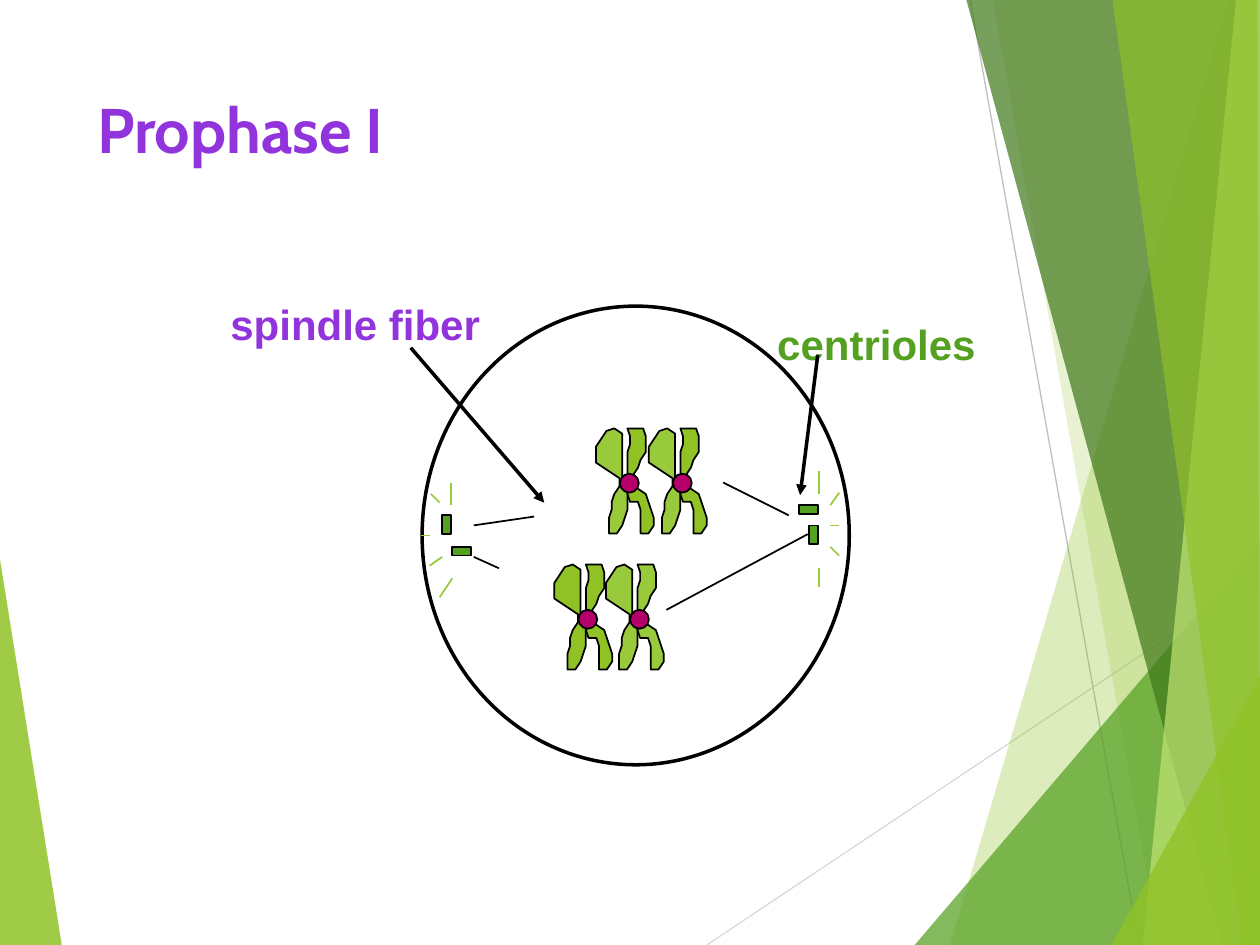
from lxml import etree
from pptx import Presentation
from pptx.dml.color import RGBColor
from pptx.enum.shapes import MSO_CONNECTOR, MSO_SHAPE
from pptx.enum.text import MSO_ANCHOR, MSO_AUTO_SIZE, PP_ALIGN
from pptx.oxml.ns import qn
from pptx.util import Inches, Pt

LINE, OVAL, RECT = MSO_CONNECTOR.STRAIGHT, MSO_SHAPE.OVAL, MSO_SHAPE.RECTANGLE
LEFT, TOP = PP_ALIGN.LEFT, MSO_ANCHOR.TOP
GROW, FIXED = MSO_AUTO_SIZE.SHAPE_TO_FIT_TEXT, MSO_AUTO_SIZE.NONE
W, H = 10, 7.5

C = {"white": "FFFFFF", "black": "000000", "purple": "9234DB", "green": "54A021",
     "lime": "90C226", "light": "99CA3C", "forest": "3F7819", "pale": "C0E474",
     "magenta": "B50069", "gray": "BFBFBF", "silver": "D9D9D9"}

# Background facets: colour, opacity in percent, corners in inches
WEDGE = ("lime", 85, [(0, 4.44), (0.49, H), (0, H)])
FACETS = [
    ("lime", 30, [(9.75, 0), (7.54, H), (W, H), (W, 0)]),
    ("lime", 20, [(7.88, 0), (9.2, H), (W, H), (W, 0)]),
    ("green", 72, [(7.26, H), (W, 4.29), (W, H)]),
    ("forest", 70, [(7.67, 0), (9.7, H), (W, H), (W, 0)]),
    ("pale", 70, [(9.81, 0), (9.07, H), (W, H), (W, 0)]),
    ("lime", 65, [(8.83, 0), (9.86, H), (W, H), (9.98, 0)]),
    ("lime", 80, [(8.82, H), (W, 5.37), (W, H)]),
]
FACET_LINES = [("silver", (5.61, H), (W, 4.57)), ("gray", (7.7, 0), (9.04, H))]

# Chromatid outlines on a grid of 48 units to the inch
UNIT = 48
LEFT_CHROMATID = [
    (13, 21), (10, 20), (10, 2), (7, 0), (4, 1), (0, 7), (0, 13), (9, 19), (9, 22),
    (7, 25), (6, 28), (6, 31), (5, 34), (5, 40), (8, 40), (10, 37), (11, 34),
    (12, 31), (12, 22)]
RIGHT_CHROMATID = [
    (13, 21), (12, 18), (12, 9), (13, 6), (13, 3), (12, 0), (18, 0), (19, 3), (19, 9),
    (17, 12), (16, 15), (14, 18), (13, 21), (19, 25), (20, 28), (22, 34), (22, 37),
    (20, 40), (17, 40), (17, 31), (16, 28), (13, 28), (12, 25), (12, 22)]
CHROMOSOMES = [  # left, top, left colour, right colour
    (4.4, 4.48, "lime", "lime"), (5.15, 3.4, "light", "lime"),
    (4.73, 3.4, "light", "lime"), (4.81, 4.48, "light", "light")]
CENTROMERE = 0.15

CELL = (3.35, 2.43, 3.39, 3.64)
CENTRIOLES = [(6.42, 4.17, 0.07, 0.15), (3.51, 4.09, 0.07, 0.15),
              (6.34, 4.01, 0.15, 0.07), (3.59, 4.34, 0.15, 0.07)]
ASTERS = [
    ((3.59, 4.59), (3.49, 4.74)), ((3.51, 4.42), (3.41, 4.49)),
    ((3.34, 4.25), (3.41, 4.25)), ((3.42, 3.92), (3.49, 3.99)),
    ((3.58, 4.01), (3.58, 3.83)), ((6.5, 3.92), (6.5, 3.74)),
    ((6.59, 4.01), (6.66, 3.91)), ((6.59, 4.17), (6.66, 4.17)),
    ((6.59, 4.34), (6.66, 4.41)), ((6.5, 4.51), (6.5, 4.66))]
SPINDLES = [((3.76, 4.17), (4.24, 4.1)), ((6.26, 4.09), (5.74, 3.83)),
            ((5.29, 4.84), (6.41, 4.24)), ((3.76, 4.42), (3.96, 4.51))]
POINTERS = [((3.26, 2.76), (4.32, 3.99)), ((6.49, 2.82), (6.35, 3.93))]
LABELS = [("centrioles", "green", (6.07, 2.48, 1.78, 0.5)),
          ("spindle fiber", "purple", (1.73, 2.32, 2.18, 0.5))]


def rgb(name):
    return RGBColor.from_string(C[name])


def paint(sp, fill, line=None, width=1, opacity=100):
    sp.shadow.inherit = False
    sp.fill.solid()
    sp.fill.fore_color.rgb = rgb(fill)
    if opacity < 100:
        color = sp.fill._xPr.find(qn("a:solidFill"))[0]
        etree.SubElement(color, qn("a:alpha"), val=str(opacity * 1000))
    if line:
        sp.line.color.rgb = rgb(line)
        sp.line.width = Pt(width)
    else:
        sp.line.fill.background()


def add_preset(kind, box, fill, width=1):
    sp = s.shapes.add_shape(kind, *map(Inches, box))
    paint(sp, fill, "black", width)


def add_outline(points, fill, left=0, top=0, units=100, **style):
    """Draw a closed outline whose points count `units` to the inch."""
    grid = [(round(x), round(y)) for x, y in points]
    fb = s.shapes.build_freeform(*grid[0], scale=Inches(1) / units)
    fb.add_line_segments(grid[1:], close=True)
    paint(fb.convert_to_shape(Inches(left), Inches(top)), fill, **style)


def add_facet(color, opacity, corners):
    add_outline([(x * 100, y * 100) for x, y in corners], color, opacity=opacity)


def add_line(start, end, color, width=1, arrow=False):
    cn = s.shapes.add_connector(LINE, *map(Inches, start + end))
    cn.line.color.rgb = rgb(color)
    cn.line.width = Pt(width)
    if arrow:
        etree.SubElement(cn.line._get_or_add_ln(), qn("a:tailEnd"), type="triangle")
    etree.SubElement(cn._element.spPr, qn("a:effectLst"))


def write(sp, text, box, font, size, color, wrap=True, fit=FIXED):
    sp.left, sp.top, sp.width, sp.height = map(Inches, box)
    tf = sp.text_frame
    tf.word_wrap = wrap
    tf.auto_size = fit
    tf.vertical_anchor = TOP
    p = tf.paragraphs[0]
    p.alignment = LEFT
    r = p.add_run()
    r.text = text
    r.font.name, r.font.size, r.font.bold = font, Pt(size), True
    r.font.color.rgb = rgb(color)


prs = Presentation()
prs.slide_width, prs.slide_height = Inches(W), Inches(H)
s = prs.slides.add_slide(prs.slide_layouts[5])

# Background
add_facet(*WEDGE)
for color, start, end in FACET_LINES:
    add_line(start, end, color, 0.75)
for facet in FACETS:
    add_facet(*facet)

# Title
write(s.shapes.title, "Prophase I", (0.67, 0.67, 6.94, 1.44), "Cabin", 36, "purple")

# Cell and centrioles
add_preset(OVAL, CELL, "white", 2)
for box in CENTRIOLES:
    add_preset(RECT, box, "green")

# Labels and asters
for text, color, box in LABELS:
    write(s.shapes.add_textbox(0, 0, 0, 0), text, box, "Arial", 24, color,
          wrap=False, fit=GROW)
for start, end in ASTERS:
    add_line(start, end, "light")

# Chromosomes
for left, top, *colors in CHROMOSOMES:
    for outline, color in zip((LEFT_CHROMATID, RIGHT_CHROMATID), colors):
        add_outline(outline, color, left, top, UNIT, line="black")
    add_preset(OVAL, (left + 0.19, top + 0.36, CENTROMERE, CENTROMERE), "magenta")

# Spindle fibers and pointers
for start, end in SPINDLES:
    add_line(start, end, "black")
for start, end in POINTERS:
    add_line(start, end, "black", 2, arrow=True)

prs.save("out.pptx")
